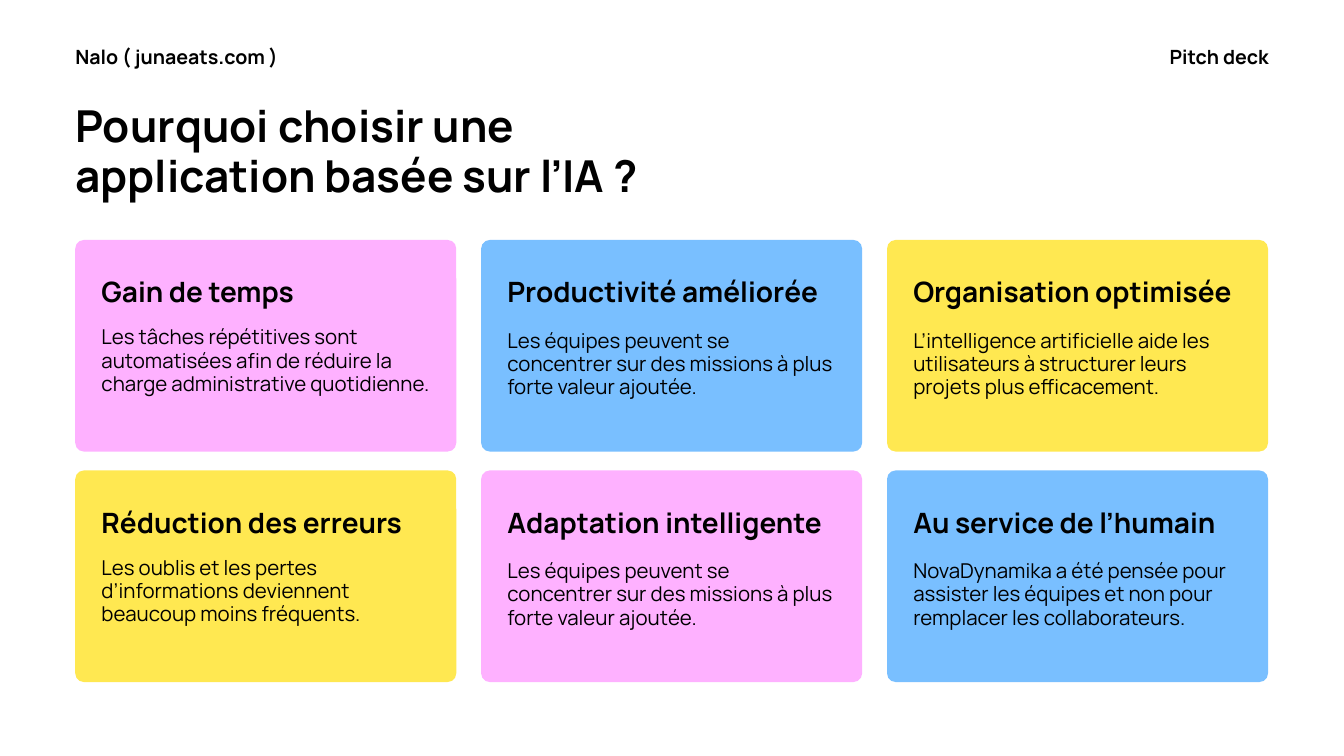
from pptx import Presentation
from pptx.dml.color import RGBColor
from pptx.enum.shapes import MSO_SHAPE
from pptx.enum.text import PP_ALIGN
from pptx.util import Inches, Pt

FONT = "Manrope"
BLACK = RGBColor(0x00, 0x00, 0x00)
WHITE = RGBColor(0xFF, 0xFF, 0xFF)
PINK = RGBColor(0xFE, 0xB1, 0xFF)
BLUE = RGBColor(0x79, 0xBF, 0xFF)
YELLOW = RGBColor(0xFF, 0xE8, 0x51)

MARGIN = 1.12
CARDS_TOP = 3.57
CARD_WIDTH, CARD_HEIGHT = 5.67, 3.15
COLUMN_STEP, ROW_STEP = 6.04, 3.43
CARD_PADDING = 0.39
CORNER_RADIUS = 0.13
COLUMNS = 3
HEADING_OFFSET = 0.55
BODY_OFFSETS = (1.28, 1.33, 1.33)

CARDS = [
    (PINK, "Gain de temps",
     "Les tâches répétitives sont automatisées afin de réduire la "
     "charge administrative quotidienne."),
    (BLUE, "Productivité améliorée",
     "Les équipes peuvent se concentrer sur des missions à plus "
     "forte valeur ajoutée."),
    (YELLOW, "Organisation optimisée",
     "L’intelligence artificielle aide les utilisateurs à structurer "
     "leurs projets plus efficacement."),
    (YELLOW, "Réduction des erreurs",
     "Les oublis et les pertes d’informations deviennent beaucoup "
     "moins fréquents."),
    (PINK, "Adaptation intelligente",
     "Les équipes peuvent se concentrer sur des missions à plus "
     "forte valeur ajoutée."),
    (BLUE, "Au service de l’humain",
     "NovaDynamika a été pensée pour assister les équipes et non pour "
     "remplacer les collaborateurs."),
]


def add_text(slide, text, left, top, width, height, size, leading,
             bold=True, align=PP_ALIGN.LEFT):
    box = slide.shapes.add_textbox(Inches(left), Inches(top),
                                   Inches(width), Inches(height))
    frame = box.text_frame
    frame.word_wrap = True
    frame.margin_left = frame.margin_right = 0
    frame.margin_top = frame.margin_bottom = 0
    paragraph = frame.paragraphs[0]
    paragraph.alignment = align
    paragraph.line_spacing = Pt(leading)
    run = paragraph.add_run()
    run.text = text
    run.font.name = FONT
    run.font.size = Pt(size)
    run.font.bold = bold
    run.font.color.rgb = BLACK


def add_card(slide, index, color, heading, body):
    """Place a card in the grid, filling rows from left to right."""
    row, column = divmod(index, COLUMNS)
    left = MARGIN + column * COLUMN_STEP
    top = CARDS_TOP + row * ROW_STEP
    panel = slide.shapes.add_shape(
        MSO_SHAPE.ROUNDED_RECTANGLE, Inches(left), Inches(top),
        Inches(CARD_WIDTH), Inches(CARD_HEIGHT))
    panel.adjustments[0] = CORNER_RADIUS / CARD_HEIGHT
    panel.shadow.inherit = False
    panel.fill.solid()
    panel.fill.fore_color.rgb = color
    panel.line.fill.background()

    text_left = left + CARD_PADDING
    add_text(slide, body, text_left, top + BODY_OFFSETS[column],
             4.89, 1.41, 21.9, 24.8, bold=False)
    add_text(slide, heading, text_left, top + HEADING_OFFSET,
             5.01, 0.51, 30, 34)


def main():
    prs = Presentation()
    prs.slide_width = Inches(20)
    prs.slide_height = Inches(11.25)
    slide = prs.slides.add_slide(prs.slide_layouts[6])
    slide.background.fill.solid()
    slide.background.fill.fore_color.rgb = WHITE

    add_text(slide, "Pourquoi choisir une application basée sur l’IA ?",
             MARGIN, 1.51, 9.67, 1.55, 47.1, 53.3)
    add_text(slide, "Nalo ( junaeats.com )", MARGIN, 0.61, 3.38, 0.41, 21, 29.4)
    add_text(slide, "Pitch deck", 16.13, 0.61, 2.75, 0.41, 21, 29.4,
             align=PP_ALIGN.RIGHT)
    for index, (color, heading, body) in enumerate(CARDS):
        add_card(slide, index, color, heading, body)

    prs.save("out.pptx")


if __name__ == "__main__":
    main()
